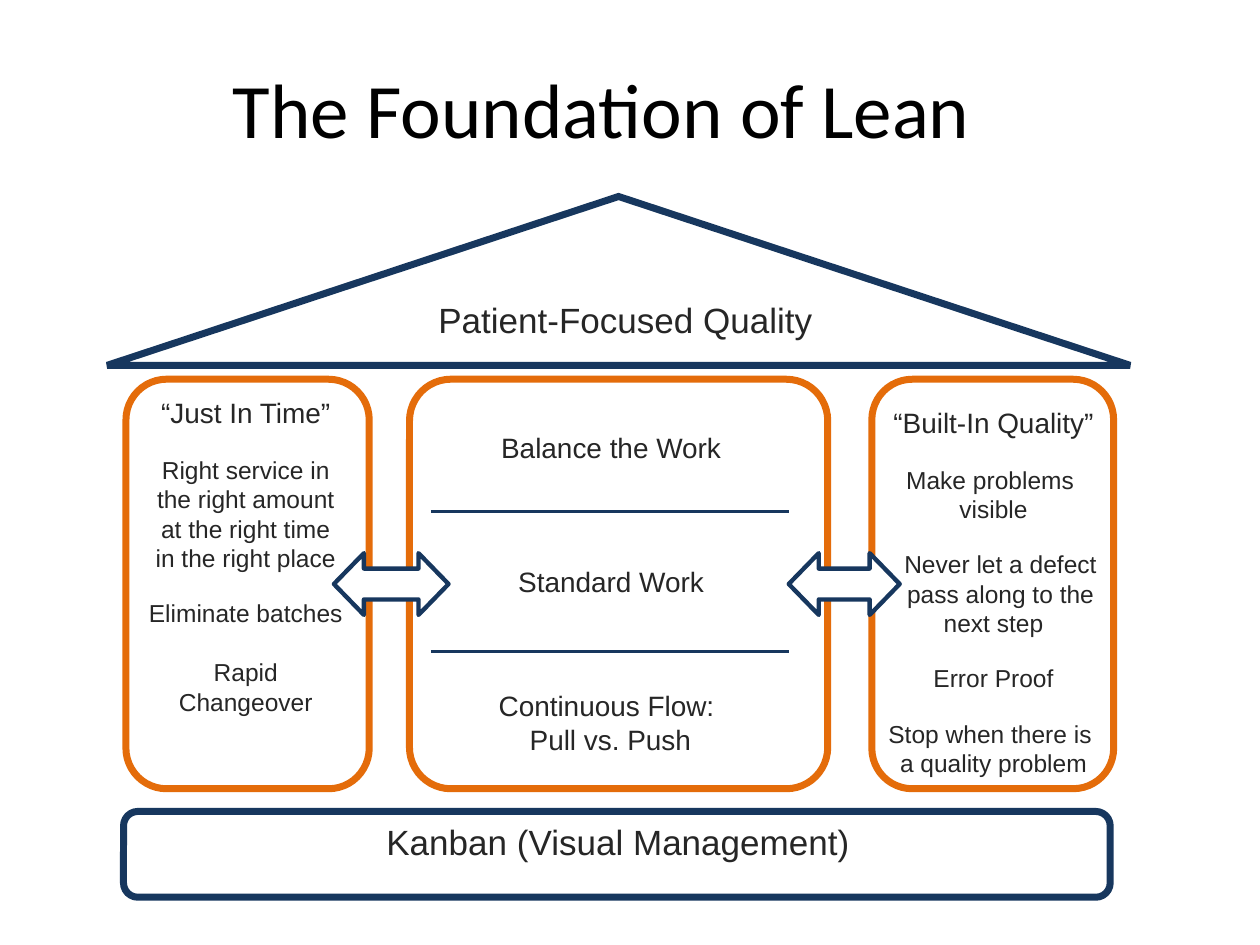
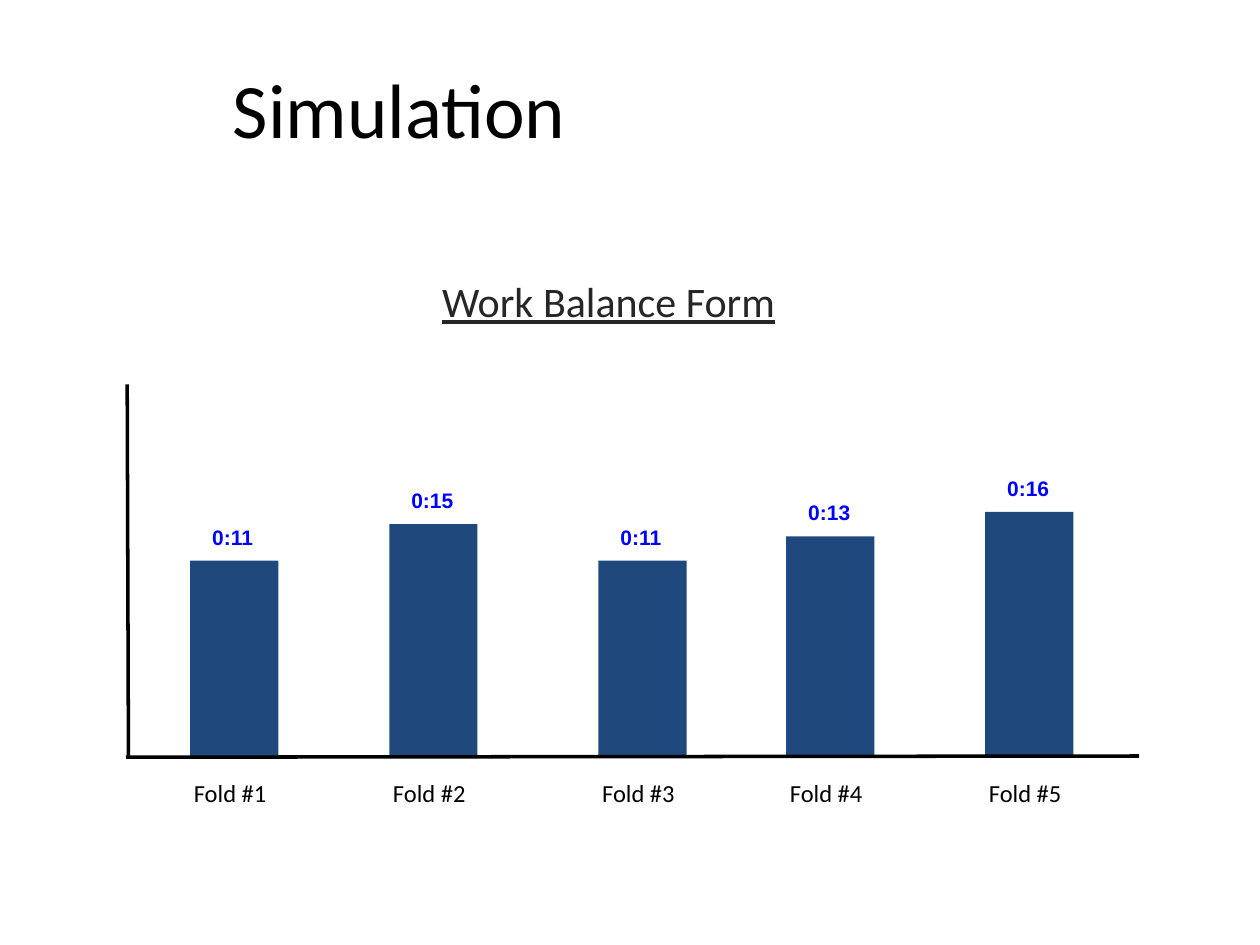
from lxml import etree
from pptx import Presentation
from pptx.dml.color import RGBColor
from pptx.enum.shapes import MSO_CONNECTOR, MSO_SHAPE
from pptx.enum.text import MSO_ANCHOR, PP_ALIGN
from pptx.oxml.ns import qn
from pptx.util import Pt

COLORS = {
    "white": "FFFFFF",
    "black": "000000",
    "text": "262626",
    "navy": "17375E",
    "orange": "E46C0A",
    "bar": "1F497D",
    "value": "0000FF",
}
BODY, HEADING = "Arial", "Calibri"
GAP = 14.7  # space between the points listed in a pillar


def color(name):
    return RGBColor.from_string(COLORS[name])


class Builder:
    """Holds the deck, the current page and the shared style."""

    def __init__(self):
        self.deck = Presentation()
        self.deck.slide_width, self.deck.slide_height = Pt(720), Pt(540)
        self.page = None

    def new_page(self, title):
        self.page = self.deck.slides.add_slide(self.deck.slide_layouts[6])
        box = self.box(126, 30.2, 520, 62.6, anchor=MSO_ANCHOR.MIDDLE)
        self.para(box, title, 44, "black", HEADING, align=PP_ALIGN.LEFT)

    def shape(self, kind, left, top, width, height, fill="white", line=None,
              weight=4, adjust=(), miter=False):
        shape = self.page.shapes.add_shape(
            kind, Pt(left), Pt(top), Pt(width), Pt(height))
        shape.shadow.inherit = False
        shape.fill.solid()
        shape.fill.fore_color.rgb = color(fill)
        for index, value in enumerate(adjust):
            shape.adjustments[index] = value
        if line is None:
            shape.line.fill.background()
            return
        shape.line.color.rgb = color(line)
        shape.line.width = Pt(weight)
        if miter:
            outline = shape.element.spPr.find(qn("a:ln"))
            etree.SubElement(outline, qn("a:miter"), lim="800000")

    def line(self, x1, y1, x2, y2, name):
        line = self.page.shapes.add_connector(
            MSO_CONNECTOR.STRAIGHT, Pt(x1), Pt(y1), Pt(x2), Pt(y2))
        line.line.color.rgb = color(name)
        line.line.width = Pt(2)
        etree.SubElement(line.element.spPr, qn("a:effectLst"))

    def box(self, left, top, width, height, anchor=MSO_ANCHOR.TOP, wrap=True):
        box = self.page.shapes.add_textbox(
            Pt(left), Pt(top), Pt(width), Pt(height))
        box.text_frame.word_wrap = wrap
        box.text_frame.vertical_anchor = anchor
        return box

    def para(self, box, text, size, name="text", font=BODY, bold=False,
             underline=False, align=PP_ALIGN.CENTER, spacing=None, before=0,
             first_indent=0):
        """Add a paragraph; text is a string or a list of (text, size)."""
        frame = box.text_frame
        para = frame.paragraphs[0]
        if para.runs:
            para = frame.add_paragraph()
        para.alignment = align
        para.space_before = Pt(before)
        if spacing:
            para.line_spacing = spacing
        if first_indent:
            para._p.get_or_add_pPr().set("indent", str(Pt(first_indent)))
        spans = [(text, size)] if isinstance(text, str) else text
        for words, points in spans:
            for number, part in enumerate(words.split("\n")):
                if number:
                    para.add_line_break()
                span = para.add_run()
                span.text = part
                span.font.size = Pt(points)
                span.font.name = font
                span.font.bold = bold
                span.font.underline = underline
                span.font.color.rgb = color(name)


def build_house(deck):
    deck.new_page("The Foundation of Lean")

    # Pillars and base
    for left, width, corner in ((498.2, 138.2, 0.167), (234, 239, 0.101),
                                (72, 139, 0.167)):
        deck.shape(MSO_SHAPE.ROUNDED_RECTANGLE, left, 216.7, width, 234,
                   line="orange", adjust=[corner])
    deck.shape(MSO_SHAPE.ROUNDED_RECTANGLE, 70.6, 463.7, 563.8, 49,
               line="navy", adjust=[0.167])

    # Middle pillar and base wording
    for text, left, top, width, size, spacing in (
            ("Balance the Work", 236.2, 249.8, 226, 16, 0.55),
            ("Standard Work", 236.2, 326.9, 226, 16, 0.55),
            ("Continuous Flow: \nPull vs. Push", 235.4, 390.2, 226.8, 16, None),
            ("Kanban (Visual Management)", 190.8, 474.5, 324.7, 20, 0.55)):
        box = deck.box(left, top, width, 20)
        deck.para(box, text, size, spacing=spacing)

    # Left pillar wording
    box = deck.box(77.8, 222.5, 125.3, 191.5)
    deck.para(box, "“Just In Time”", 16)
    for text in (
            "Right service in the right amount at the right time "
            "in the right place",
            "Eliminate batches",
            [("Rapid", 14), (" ", 16), ("Changeover", 14)]):
        deck.para(box, text, 14, before=GAP)

    # Right pillar wording
    box = deck.box(492.5, 228.2, 150.5, 239.8)
    deck.para(box, "“Built-In Quality”", 16)
    for text, before, indent in (
            ("Make problems \nvisible", GAP, 0),
            ("Never let a defect", GAP, 8),
            ("pass along to the \nnext step", 0, 12),
            ("Error Proof", GAP, 0),
            ("Stop when there is \na quality problem", GAP, 0)):
        deck.para(box, text, 14, before=before, first_indent=indent)

    # Roof
    deck.shape(MSO_SHAPE.ISOSCELES_TRIANGLE, 61.2, 112.3, 584.6, 96.5,
               line="navy", miter=True)
    box = deck.box(242.6, 167, 229.7, 31.7, wrap=False)
    deck.para(box, "Patient-Focused Quality", 20)

    # Links between pillars and dividers in the middle one
    for left, width in ((450.7, 63.4), (190.8, 65.5)):
        deck.shape(MSO_SHAPE.LEFT_RIGHT_ARROW, left, 316.1, width, 35.3,
                   line="navy", weight=2.5, adjust=[0.5, 0.486])
    for height in (292.3, 372.2):
        deck.line(246.2, height, 450.7, height, "navy")


def build_simulation(deck):
    deck.new_page("Simulation")
    middle = MSO_ANCHOR.MIDDLE
    box = deck.box(168.5, 148.3, 358.6, 46.8, anchor=middle)
    deck.para(box, "Work Balance Form", 24, font=HEADING, underline=True)

    # Bars, each with its time above and its step below
    floor = 432
    bars = ((108.7, 111.6, "0:11"), (222.5, 132.5, "0:15"),
            (342, 111.6, "0:11"), (449.3, 125.5, "0:13"),
            (563, 139.5, "0:16"))
    for number, (left, height, time) in enumerate(bars, 1):
        top = floor - height
        deck.shape(MSO_SHAPE.RECTANGLE, left, top, 50.4, height, fill="bar")
        box = deck.box(left + 5.5, top - 27.6, 74.9, 28, anchor=middle)
        deck.para(box, time, 12, "value", bold=True, align=PP_ALIGN.LEFT)
        box = deck.box(left - 5, 439.2, 88.6, 28, anchor=middle)
        deck.para(box, f"Fold #{number}", 14, "black", HEADING,
                  align=PP_ALIGN.LEFT)

    # Axes
    deck.line(72.7, 219.6, 73.4, floor, "black")
    deck.line(72, 432.7, 650.9, floor, "black")


def main():
    builder = Builder()
    build_house(builder)
    build_simulation(builder)
    builder.deck.save("out.pptx")


if __name__ == "__main__":
    main()
